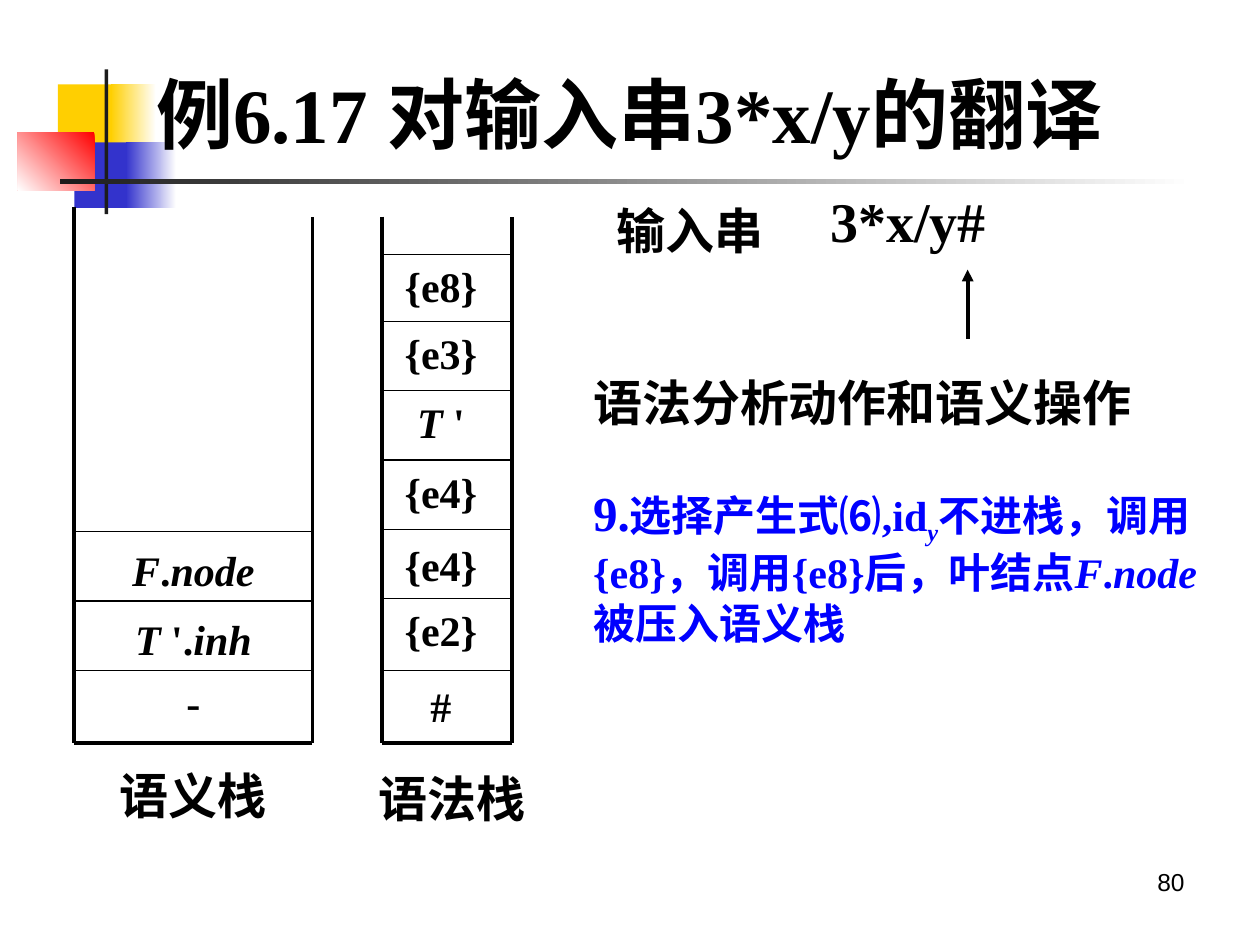
from lxml import etree
from pptx import Presentation
from pptx.dml.color import RGBColor
from pptx.enum.shapes import MSO_CONNECTOR, MSO_SHAPE
from pptx.enum.text import MSO_AUTO_SIZE, PP_ALIGN
from pptx.oxml.ns import qn
from pptx.util import Inches, Pt

BLACK = RGBColor(0x00, 0x00, 0x00)
WHITE = RGBColor(0xFF, 0xFF, 0xFF)
BLUE = RGBColor(0x00, 0x00, 0xFF)
GOLD = RGBColor(0xFF, 0xCF, 0x01)
INDIGO = RGBColor(0x33, 0x33, 0xCC)
RED = RGBColor(0xFF, 0x00, 0x00)
CHARCOAL = RGBColor(0x1C, 0x1C, 0x1C)

prs = Presentation()
prs.slide_width, prs.slide_height = Inches(10), Inches(7.5)
slide = prs.slides.add_slide(prs.slide_layouts[6])
shapes = slide.shapes


def add_text(content, left, top, width, height, size=24, color=BLACK,
             font="Times New Roman", bold=True, align=PP_ALIGN.CENTER):
    """Content is a string, or a list of (text, font overrides) pairs."""
    box = shapes.add_textbox(Inches(left), Inches(top), Inches(width), Inches(height))
    frame = box.text_frame
    frame.word_wrap = True
    frame.auto_size = MSO_AUTO_SIZE.SHAPE_TO_FIT_TEXT
    paragraph = frame.paragraphs[0]
    paragraph.alignment = align
    pieces = [(content, {})] if isinstance(content, str) else content
    for text, overrides in pieces:
        run = paragraph.add_run()
        run.text = text
        run.font.name = font
        run.font.size = Pt(overrides.get("size", size))
        run.font.bold = bold
        run.font.italic = overrides.get("italic", False)
        run.font.color.rgb = color
        if "baseline" in overrides:
            run.font._element.set("baseline", str(overrides["baseline"]))


def add_line(x1, y1, x2, y2, weight=2.25):
    line = shapes.add_connector(MSO_CONNECTOR.STRAIGHT, Inches(x1), Inches(y1),
                                Inches(x2), Inches(y2))
    line.line.color.rgb = BLACK
    line.line.width = Pt(weight)
    etree.SubElement(line._element.spPr, qn("a:effectLst"))
    return line


# Corner decoration: solid blocks and fades (start colour, end colour, angle)
for left, top, width, height, colors, angle in [
    (0.46, 0.67, 0.48, 0.52, [GOLD], None),
    (0.88, 0.67, 0.36, 0.52, [WHITE, GOLD], 180),
    (0.59, 1.13, 0.46, 0.52, [INDIGO], None),
    (1.00, 1.13, 0.40, 0.52, [WHITE, INDIGO], 180),
    (0.14, 1.05, 0.61, 0.46, [RED, WHITE], 225),
    (0.83, 0.55, 0.03, 1.15, [CHARCOAL], None),
    (0.48, 1.42, 9.00, 0.04, [WHITE, CHARCOAL], 180),
]:
    block = shapes.add_shape(MSO_SHAPE.RECTANGLE, Inches(left), Inches(top),
                             Inches(width), Inches(height))
    block.shadow.inherit = False
    block.line.fill.background()
    if angle is None:
        block.fill.solid()
        block.fill.fore_color.rgb = colors[0]
    else:
        block.fill.gradient()
        block.fill.gradient_angle = angle
        for stop, color in zip(block.fill.gradient_stops, colors):
            stop.color.rgb = color

ITALIC = {"italic": True}
STACK_BOTTOM = 5.9

# Each stack: walls, divider heights, then (top, content) of its cells
semantic_cells = [
    (4.27, [("F", ITALIC), (".", {}), ("node", ITALIC)]),
    (4.82, [("T ", ITALIC), ("'.", {}), ("inh", ITALIC)]),
    (5.32, "-"),
]
syntax_cells = [
    (2.02, "{e8}"),
    (2.55, "{e3}"),
    (3.10, [("T ", ITALIC), ("'", {})]),
    (3.65, "{e4}"),
    (4.23, "{e4}"),
    (4.75, "{e2}"),
    (5.35, "#"),
]
for left, right, left_top, dividers, cell_left, cell_width, cells in [
    (0.59, 2.48, 1.64, [4.22, 4.77, 5.32], 0.67, 1.73, semantic_cells),
    (3.03, 4.06, 1.72, [2.02, 2.55, 3.1, 3.65, 4.2, 4.75, 5.32], 3.03, 0.94, syntax_cells),
]:
    add_line(left, left_top, left, STACK_BOTTOM)
    add_line(left, STACK_BOTTOM, right, STACK_BOTTOM)
    add_line(right, STACK_BOTTOM, right, 1.72)
    for y in dividers:
        add_line(left, y, right, y, weight=0.75)
    for top, content in cells:
        add_text(content, cell_left, top, cell_width, 0.5)

add_text("语义栈", 0.67, 6.03, 1.73, 0.57, size=28)
add_text("语法栈", 2.72, 6.05, 1.73, 0.57, size=28)

# Title, input string and its read pointer
add_text("例6.17 对输入串3*x/y的翻译", 1.14, 0.48, 8.66, 0.84, size=44, align=PP_ALIGN.LEFT)
add_text("输入串", 4.61, 1.54, 1.73, 0.57, size=28)
add_text("3*x/y#", 6.49, 1.43, 1.58, 0.64, size=32, align=PP_ALIGN.LEFT)
pointer = add_line(7.68, 2.14, 7.68, 2.69)
etree.SubElement(pointer.line._get_or_add_ln(), qn("a:headEnd"), type="triangle")

# Parsing step
add_text("语法分析动作和语义操作", 4.61, 2.91, 4.88, 0.57, size=28, align=PP_ALIGN.LEFT)
step = [
    ("9.", {"size": 28}),
    ("选择产生式⑹,id", {}),
    ("y", {"italic": True, "baseline": -25000}),
    ("不进栈，调用{e8}，调用{e8}后，叶结点", {}),
    ("F", ITALIC),
    (".", {}),
    ("node", ITALIC),
    ("被压入语义栈", {}),
]
add_text(step, 4.61, 3.78, 5.2, 1.41, color=BLUE, align=PP_ALIGN.LEFT)

add_text("80", 7.17, 6.83, 2.33, 0.52, size=14, font="Arial", bold=False,
         align=PP_ALIGN.RIGHT)

prs.save("out.pptx")
